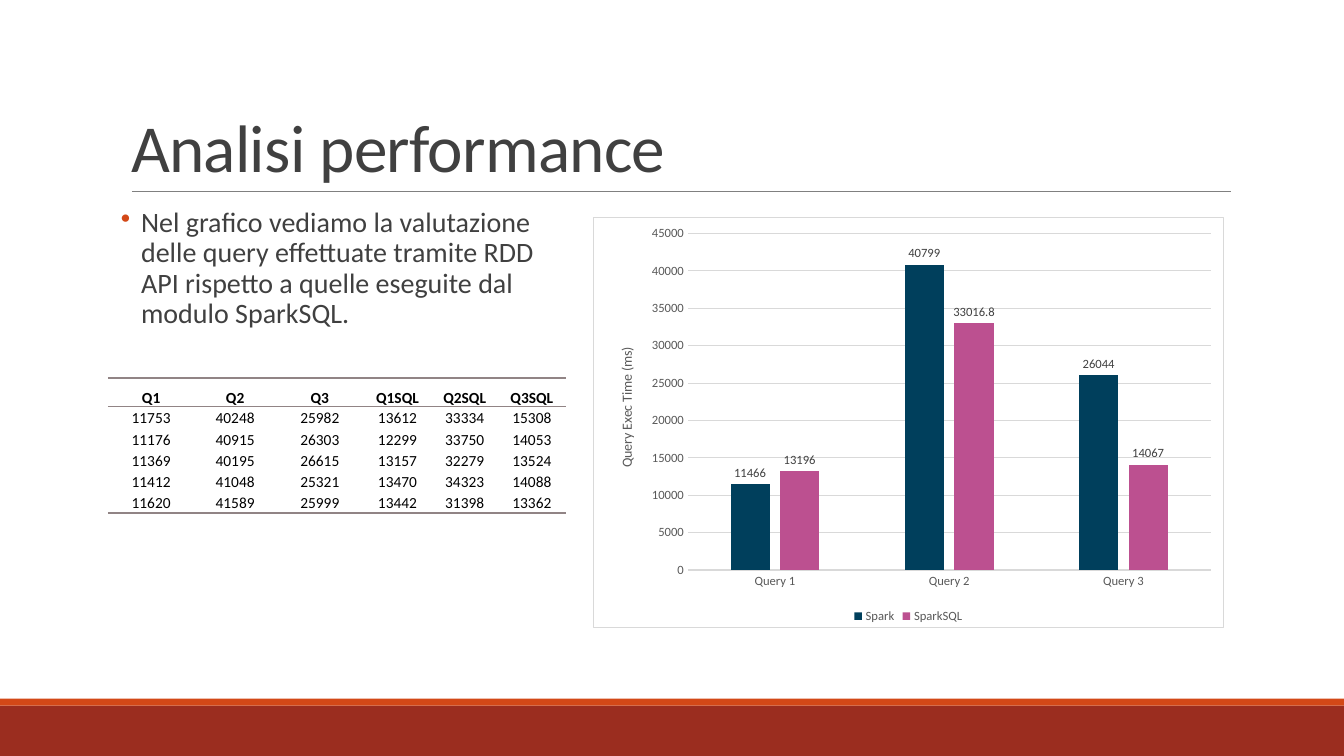
from dataclasses import dataclass

from lxml.etree import SubElement
from pptx import Presentation
from pptx.chart.data import CategoryChartData
from pptx.dml.color import RGBColor
from pptx.enum.chart import XL_CHART_TYPE as ChartType
from pptx.enum.chart import XL_LABEL_POSITION as LabelPos
from pptx.enum.chart import XL_LEGEND_POSITION as LegendPos
from pptx.enum.chart import XL_TICK_MARK as TickMark
from pptx.enum.shapes import MSO_CONNECTOR as Connector
from pptx.enum.shapes import MSO_SHAPE as Shape
from pptx.enum.text import MSO_ANCHOR as Anchor
from pptx.enum.text import PP_ALIGN as Align
from pptx.oxml import parse_xml
from pptx.oxml.ns import nsdecls, qn
from pptx.util import Pt


@dataclass(frozen=True)
class Theme:
    font: str = "Calibri"
    text: str = "404040"
    chart_text: str = "595959"
    table_text: str = "000000"
    accent: str = "D34817"
    footer: str = "9B2D1F"
    title_rule: str = "808080"
    table_rule: str = "918485"
    grid: str = "D9D9D9"
    spark: str = "003F5C"
    spark_sql: str = "BC5090"
    title_size: float = 48
    body_size: float = 20
    table_size: float = 11
    axis_title_size: float = 10
    chart_size: float = 9


THEME = Theme()
WIDTH, HEIGHT = 960, 540

TIMES = [
    ["Q1", "Q2", "Q3", "Q1SQL", "Q2SQL", "Q3SQL"],
    [11753, 40248, 25982, 13612, 33334, 15308],
    [11176, 40915, 26303, 12299, 33750, 14053],
    [11369, 40195, 26615, 13157, 32279, 13524],
    [11412, 41048, 25321, 13470, 34323, 14088],
    [11620, 41589, 25999, 13442, 31398, 13362],
]
COLUMN_WIDTHS = [62, 58, 63, 48, 48, 48]
AVERAGES = {
    "Spark": ([11466, 40799, 26044], THEME.spark),
    "SparkSQL": ([13196, 33016.8, 14067], THEME.spark_sql),
}


def rgb(color):
    return RGBColor.from_string(color)


def box(left, top, width, height):
    return Pt(left), Pt(top), Pt(width), Pt(height)


def style_font(font, size, color, bold=False):
    font.name, font.size, font.bold = THEME.font, Pt(size), bold
    font.color.rgb = rgb(color)


def write_text(frame, text, *, size, color=THEME.text, bold=False, align=Align.LEFT,
               spacing=1.0, after=0, tracking=None, bullet=None, indent=0):
    paragraph = frame.paragraphs[0]
    paragraph.alignment = align
    paragraph.line_spacing = spacing
    paragraph.space_after = Pt(after)
    run = paragraph.add_run()
    run.text = text
    style_font(run.font, size, color, bold)
    if tracking is not None:
        run.font._element.set("spc", str(round(tracking * 100)))
    if bullet:
        properties = paragraph._p.get_or_add_pPr()
        properties.set("marL", str(Pt(indent)))
        properties.set("indent", str(-Pt(indent)))
        bullet_color = SubElement(properties, qn("a:buClr"))
        SubElement(bullet_color, qn("a:srgbClr"), val=THEME.accent)
        SubElement(properties, qn("a:buChar"), char=bullet)


def add_band(slide, top, height, color):
    band = slide.shapes.add_shape(Shape.RECTANGLE, *box(0, top, WIDTH, height))
    band.shadow.inherit = False
    band.fill.solid()
    band.fill.fore_color.rgb = rgb(color)
    band.line.fill.background()


def add_rule(slide, left, right, y):
    rule = slide.shapes.add_connector(Connector.STRAIGHT, Pt(left), Pt(y), Pt(right), Pt(y))
    rule.line.color.rgb = rgb(THEME.title_rule)
    rule.line.width = Pt(0.5)
    SubElement(rule._element.spPr, qn("a:effectLst"))


def set_title(slide, text):
    title = slide.shapes.title
    title.left, title.top, title.width, title.height = box(86.4, 22.3, 792, 114.5)
    title.text_frame.vertical_anchor = Anchor.BOTTOM
    title.text_frame.word_wrap = True
    write_text(title.text_frame, text, size=THEME.title_size, spacing=0.85, tracking=-0.5)


def add_body(slide, text):
    frame = slide.shapes.add_textbox(*box(86.4, 145.4, 308, 110)).text_frame
    frame.word_wrap = True
    frame.margin_left = frame.margin_right = 0
    write_text(frame, text, size=THEME.body_size, spacing=0.9, after=2,
               bullet="•", indent=14.4)


def add_cell_rules(cell, sides):
    properties = cell._tc.get_or_add_tcPr()
    for position, side in enumerate(sides):
        properties.insert(position, parse_xml(
            f'<a:ln{side} {nsdecls("a")} w="{Pt(1)}"><a:solidFill>'
            f'<a:srgbClr val="{THEME.table_rule}"/></a:solidFill></a:ln{side}>'))


def add_times_table(slide):
    table = slide.shapes.add_table(
        len(TIMES), len(COLUMN_WIDTHS), *box(77, 270, sum(COLUMN_WIDTHS), 93)).table
    table.first_row = table.horz_banding = False
    # The plain table style has neither fills nor grid lines
    table._tbl.tblPr.find(qn("a:tableStyleId")).text = "{2D5ABB26-0587-4C30-8999-92F81FD0307C}"
    for column, width in zip(table.columns, COLUMN_WIDTHS):
        column.width = Pt(width)
    rules = {0: "TB", len(TIMES) - 1: "B"}
    for r, times in enumerate(TIMES):
        table.rows[r].height = Pt(15.2)
        for c, value in enumerate(times):
            cell = table.cell(r, c)
            cell.fill.background()
            cell.vertical_anchor = Anchor.BOTTOM
            cell.margin_left = cell.margin_right = cell.margin_top = Pt(0.7)
            cell.margin_bottom = 0
            write_text(cell.text_frame, str(value), size=THEME.table_size,
                       color=THEME.table_text, bold=r == 0, align=Align.CENTER,
                       spacing=1.5 if r == 0 else 1.0)
            add_cell_rules(cell, rules.get(r, ""))


def style_axes(chart):
    queries, times = chart.category_axis, chart.value_axis
    for axis in (queries, times):
        axis.major_tick_mark = axis.minor_tick_mark = TickMark.NONE
        style_font(axis.tick_labels.font, THEME.chart_size, THEME.chart_text)
    queries.format.line.color.rgb = rgb(THEME.grid)
    queries.format.line.width = Pt(0.75)
    times.format.line.fill.background()
    times.minimum_scale, times.maximum_scale, times.major_unit = 0, 45000, 5000
    times.major_gridlines.format.line.color.rgb = rgb(THEME.grid)
    times.major_gridlines.format.line.width = Pt(0.75)
    write_text(times.axis_title.text_frame, "Query Exec Time (ms)",
               size=THEME.axis_title_size, color=THEME.chart_text, align=Align.CENTER)


def frame_chart(chart, x, y, w, h):
    """Border the chart area and place the plot by fractions of that area."""
    space = chart._chartSpace
    space.find(qn("c:txPr")).addprevious(parse_xml(
        f'<c:spPr {nsdecls("c", "a")}><a:solidFill><a:srgbClr val="FFFFFF"/></a:solidFill>'
        f'<a:ln w="{Pt(0.75)}"><a:solidFill><a:srgbClr val="{THEME.grid}"/>'
        '</a:solidFill></a:ln></c:spPr>'))
    plot_area = space.find(qn("c:chart")).find(qn("c:plotArea"))
    for old in plot_area.findall(qn("c:layout")):
        plot_area.remove(old)
    plot_area.insert(0, parse_xml(
        f'<c:layout {nsdecls("c")}><c:manualLayout><c:layoutTarget val="inner"/>'
        '<c:xMode val="edge"/><c:yMode val="edge"/>'
        f'<c:x val="{x}"/><c:y val="{y}"/><c:w val="{w}"/><c:h val="{h}"/>'
        '</c:manualLayout></c:layout>'))


def add_times_chart(slide):
    data = CategoryChartData()
    data.categories = ["Query 1", "Query 2", "Query 3"]
    for name, (values, _) in AVERAGES.items():
        data.add_series(name, values)
    chart = slide.shapes.add_chart(
        ChartType.COLUMN_CLUSTERED, *box(423.4, 154.8, 450.7, 293.8), data).chart
    style_font(chart.font, THEME.axis_title_size, THEME.table_text)
    chart.has_title = False
    chart.has_legend = True
    chart.legend.position = LegendPos.BOTTOM
    chart.legend.include_in_layout = False
    style_font(chart.legend.font, THEME.chart_size, THEME.chart_text)
    bars = chart.plots[0]
    bars.gap_width, bars.overlap, bars.vary_by_categories = 219, -27, False
    for series, (_, color) in zip(bars.series, AVERAGES.values()):
        series.format.fill.solid()
        series.format.fill.fore_color.rgb = rgb(color)
        labels = series.data_labels
        labels.show_value, labels.position = True, LabelPos.OUTSIDE_END
        style_font(labels.font, THEME.chart_size, THEME.text)
    style_axes(chart)
    frame_chart(chart, x=0.15, y=0.04, w=0.83, h=0.82)


def main():
    deck = Presentation()
    deck.slide_width, deck.slide_height = Pt(WIDTH), Pt(HEIGHT)
    slide = deck.slides.add_slide(deck.slide_layouts[5])
    # Footer bands and heading
    add_band(slide, 504, 36, THEME.footer)
    add_band(slide, 499, 5, THEME.accent)
    add_rule(slide, 94.3, 879, 136.8)
    set_title(slide, "Analisi performance")
    # Explanation, measurements and averages
    add_body(slide, "Nel grafico vediamo la valutazione delle query effettuate tramite "
                    "RDD API rispetto a quelle eseguite dal modulo SparkSQL.")
    add_times_table(slide)
    add_times_chart(slide)
    deck.save("out.pptx")


if __name__ == "__main__":
    main()
